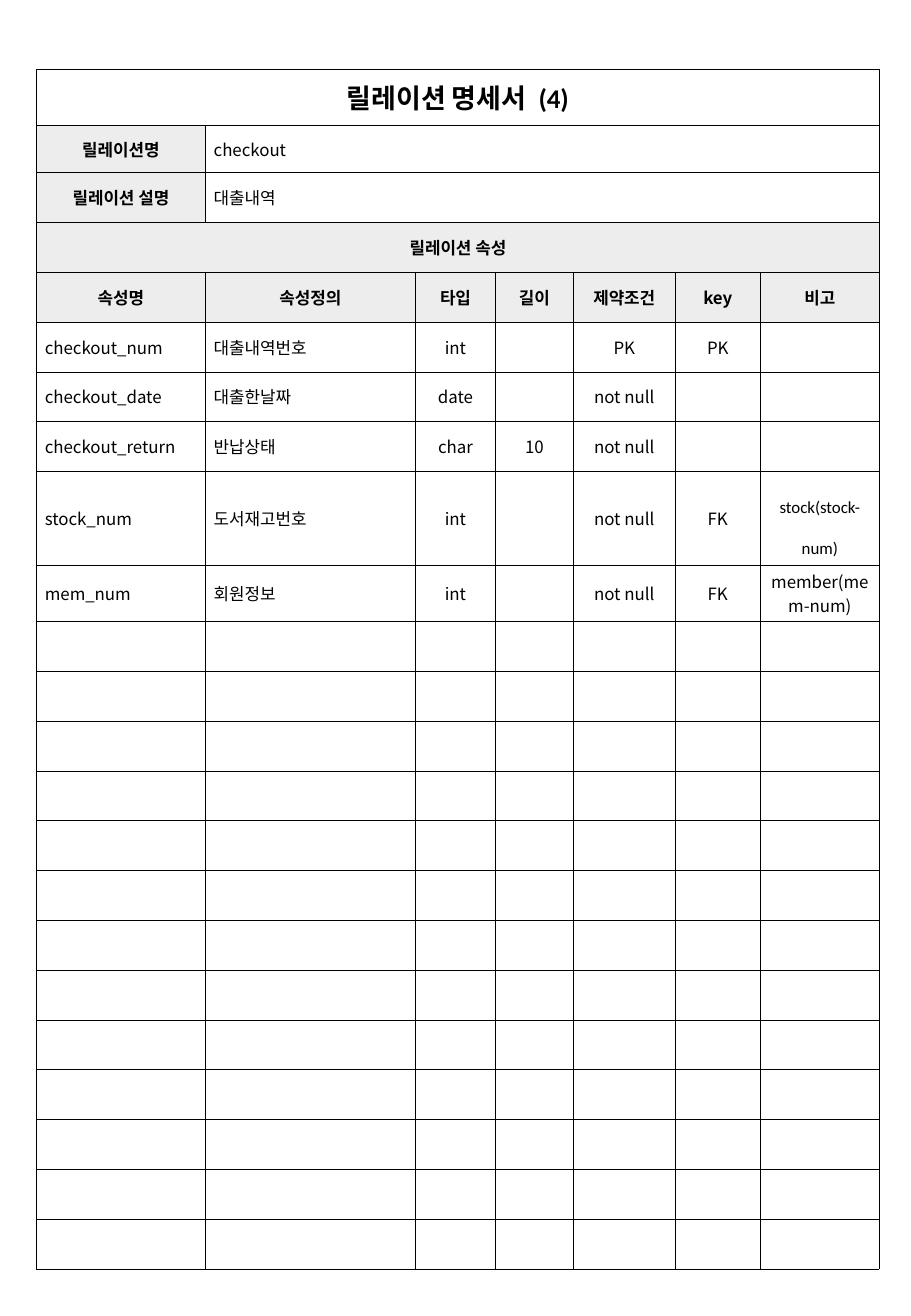
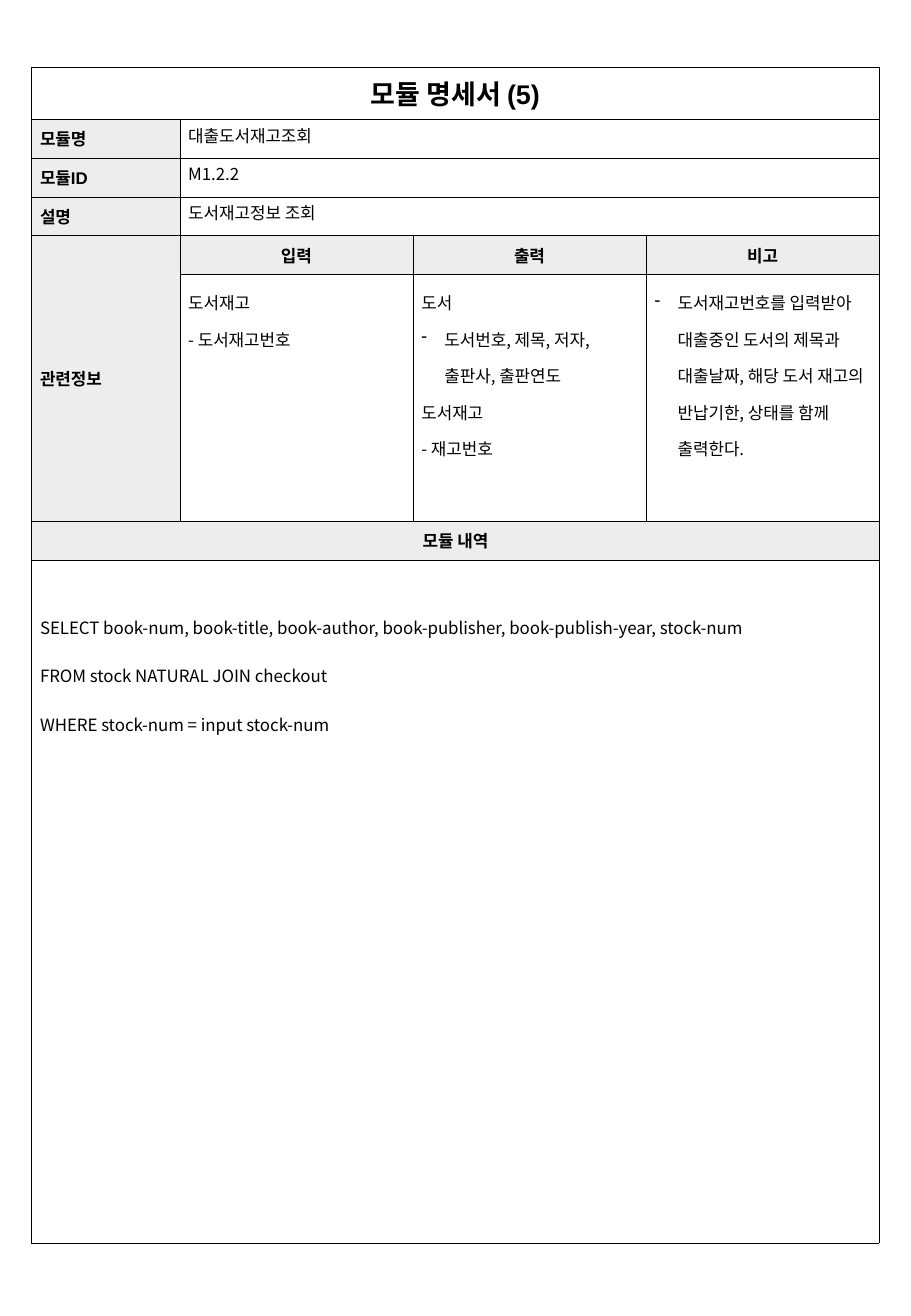
from lxml import etree
from pptx import Presentation
from pptx.dml.color import RGBColor
from pptx.enum.text import MSO_ANCHOR, PP_ALIGN
from pptx.oxml.ns import qn
from pptx.util import Inches, Pt

BLACK = RGBColor(0x00, 0x00, 0x00)
WHITE = RGBColor(0xFF, 0xFF, 0xFF)
GRAY = RGBColor(0xED, 0xED, 0xED)
CENTER, LEFT = PP_ALIGN.CENTER, PP_ALIGN.LEFT
MIDDLE, TOP = MSO_ANCHOR.MIDDLE, MSO_ANCHOR.TOP
NOTO, ARIAL, CALIBRI = "Noto Sans CJK KR", "Arial", "Calibri"
BORDER = Pt(0.25)
BODY_SIZE, TITLE_SIZE = 10, 16
HANGING = Inches(0.19)


def write(cell, lines, font=NOTO, size=BODY_SIZE, bold=False, align=LEFT,
          fill=WHITE, anchor=MIDDLE, spacing=None, bulleted=()):
    cell.fill.solid()
    cell.fill.fore_color.rgb = fill
    cell.vertical_anchor = anchor
    frame = cell.text_frame
    for index, line in enumerate(lines):
        para = frame.paragraphs[0] if index == 0 else frame.add_paragraph()
        para.alignment = align
        if spacing:
            para.line_spacing = spacing
        if index in bulleted:
            properties = para._p.get_or_add_pPr()
            properties.set("marL", str(HANGING))
            properties.set("indent", str(-HANGING))
            etree.SubElement(properties, qn("a:buChar"), char="-")
        span = para.add_run()
        span.text = line
        span.font.name = font
        span.font.size = Pt(size)
        span.font.bold = bold
        span.font.color.rgb = BLACK
        etree.SubElement(span._r.get_or_add_rPr(), qn("a:ea"), typeface=NOTO)


def add_sheet(title, title_font, left, top, columns, rows):
    page = deck.slides.add_slide(deck.slide_layouts[6])
    frame = page.shapes.add_table(len(rows), len(columns), Inches(left), Inches(top),
                                  Inches(sum(columns)), Inches(sum(rows)))
    table = frame.table
    table.first_row = False
    table.horz_banding = False
    for column, width in zip(table.columns, columns):
        column.width = Inches(width)
    for row, height in zip(table.rows, rows):
        row.height = Inches(height)
    for cell in table.iter_cells():
        cell.margin_left = cell.margin_right = Inches(0.07)
        cell.margin_top = cell.margin_bottom = Inches(0.03)
        cell.fill.solid()
        cell.fill.fore_color.rgb = WHITE
        ending = etree.SubElement(cell.text_frame.paragraphs[0]._p, qn("a:endParaRPr"))
        ending.set("sz", str(BODY_SIZE * 100))
        properties = cell._tc.get_or_add_tcPr()
        for place, side in enumerate(("L", "R", "T", "B")):
            line = etree.Element(qn("a:ln" + side), w=str(BORDER))
            solid = etree.SubElement(line, qn("a:solidFill"))
            etree.SubElement(solid, qn("a:srgbClr"), val=str(BLACK))
            properties.insert(place, line)
    table.cell(0, 0).merge(table.cell(0, len(columns) - 1))
    write(table.cell(0, 0), [title], font=title_font, size=TITLE_SIZE, bold=True, align=CENTER)
    return table


deck = Presentation()
deck.slide_width = Inches(7.5)
deck.slide_height = Inches(10.83)

relation = add_sheet("릴레이션 명세서  (4)", CALIBRI, 0.3, 0.57,
                     [1.39, 1.73, 0.66, 0.64, 0.84, 0.7, 0.98],
                     [0.46, 0.39] + [0.41] * 21)
heading = {"bold": True, "align": CENTER, "fill": GRAY}

summary = [("릴레이션명", "checkout", NOTO), ("릴레이션 설명", "대출내역", CALIBRI)]
for row, (label, value, font) in enumerate(summary, 1):
    relation.cell(row, 1).merge(relation.cell(row, 6))
    write(relation.cell(row, 0), [label], **heading)
    write(relation.cell(row, 1), [value], font=font)

relation.cell(3, 0).merge(relation.cell(3, 6))
write(relation.cell(3, 0), ["릴레이션 속성"], **heading)
for column, label in enumerate(["속성명", "속성정의", "타입", "길이", "제약조건", "key", "비고"]):
    write(relation.cell(4, column), [label], **heading)

attributes = [
    ("checkout_num", "대출내역번호", "int", "", "PK", "PK", ""),
    ("checkout_date", "대출한날짜", "date", "", "not null", "", ""),
    ("checkout_return", "반납상태", "char", "10", "not null", "", ""),
    ("stock_num", "도서재고번호", "int", "", "not null", "FK", ""),
    ("mem_num", "회원정보", "int", "", "not null", "FK", "member(mem-num)"),
]
for row, values in enumerate(attributes, 5):
    for column, value in enumerate(values):
        if value:
            write(relation.cell(row, column), [value], align=LEFT if column < 2 else CENTER)

stock_note = relation.cell(8, 6)
stock_note.margin_left = stock_note.margin_right = Inches(0.1)
stock_note.margin_top = stock_note.margin_bottom = Inches(0.05)
write(stock_note, ["stock(stock-num)"], font=CALIBRI, align=CENTER, anchor=TOP, spacing=2.0)

module = add_sheet("모듈 명세서 (5)", ARIAL, 0.26, 0.55,
                   [1.22] + [1.92] * 3,
                   [0.43] + [0.32] * 4 + [2.03, 0.32, 5.62])
label_style = {"font": ARIAL, "bold": True, "fill": GRAY}

summary = [("모듈명", "대출도서재고조회"), ("모듈ID", "M1.2.2"), ("설명", "도서재고정보 조회")]
for row, (label, value) in enumerate(summary, 1):
    module.cell(row, 1).merge(module.cell(row, 3))
    write(module.cell(row, 0), [label], **label_style)
    write(module.cell(row, 1), [value], anchor=TOP)

module.cell(4, 0).merge(module.cell(5, 0))
write(module.cell(4, 0), ["관련정보"], **label_style)
related = [
    ("입력", ["도서재고", "- 도서재고번호"], ()),
    ("출력", ["도서", "도서번호, 제목, 저자, 출판사, 출판연도", "도서재고", "- 재고번호"], (1,)),
    ("비고", ["도서재고번호를 입력받아 대출중인 도서의 제목과 대출날짜, 해당 도서 재고의 "
            "반납기한, 상태를 함께 출력한다."], (0,)),
]
for column, (label, lines, bulleted) in enumerate(related, 1):
    write(module.cell(4, column), [label], align=CENTER, **label_style)
    write(module.cell(5, column), lines, anchor=TOP, spacing=1.5, bulleted=bulleted)

for row in (6, 7):
    module.cell(row, 0).merge(module.cell(row, 3))
write(module.cell(6, 0), ["모듈 내역"], align=CENTER, **label_style)
query = module.cell(7, 0)
query.margin_top = Inches(0.25)
write(query, [
    "SELECT book-num, book-title, book-author, book-publisher, book-publish-year, stock-num",
    "FROM stock NATURAL JOIN checkout",
    "WHERE stock-num = input stock-num",
], anchor=TOP, spacing=2.0)

deck.save("out.pptx")
